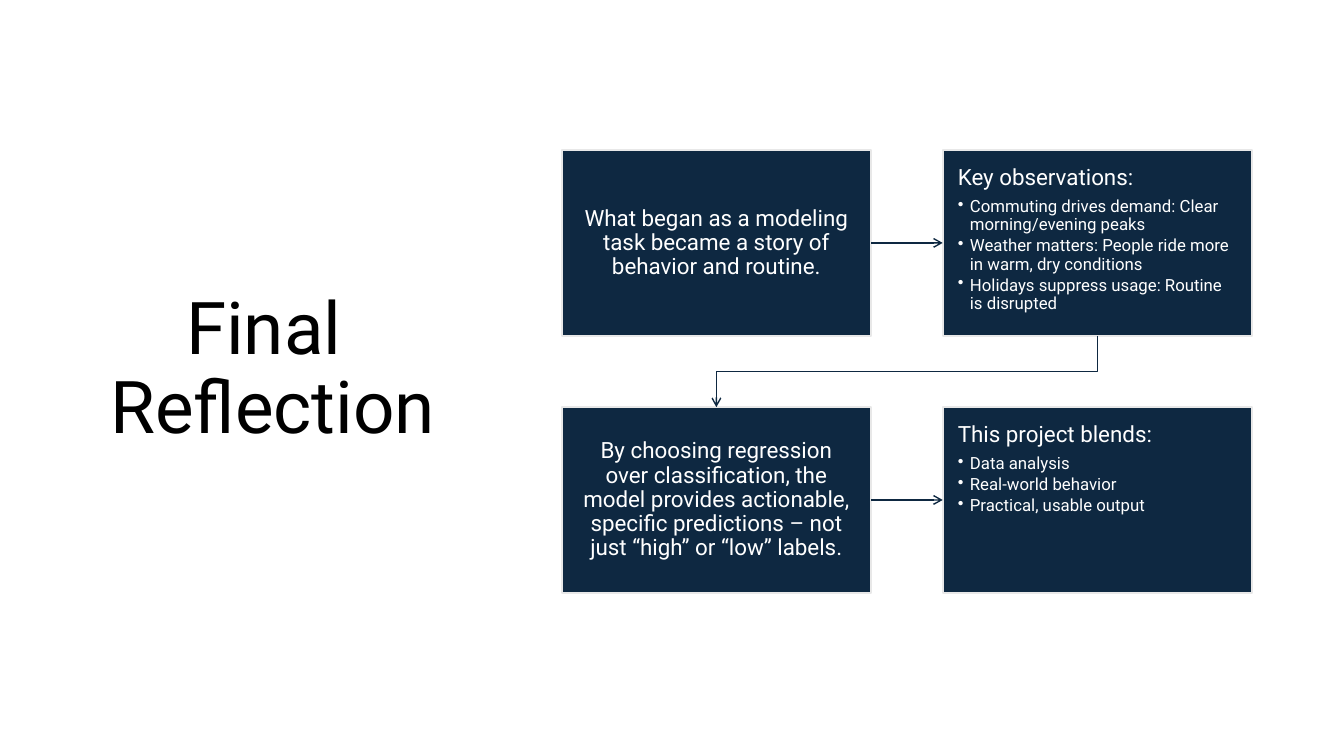
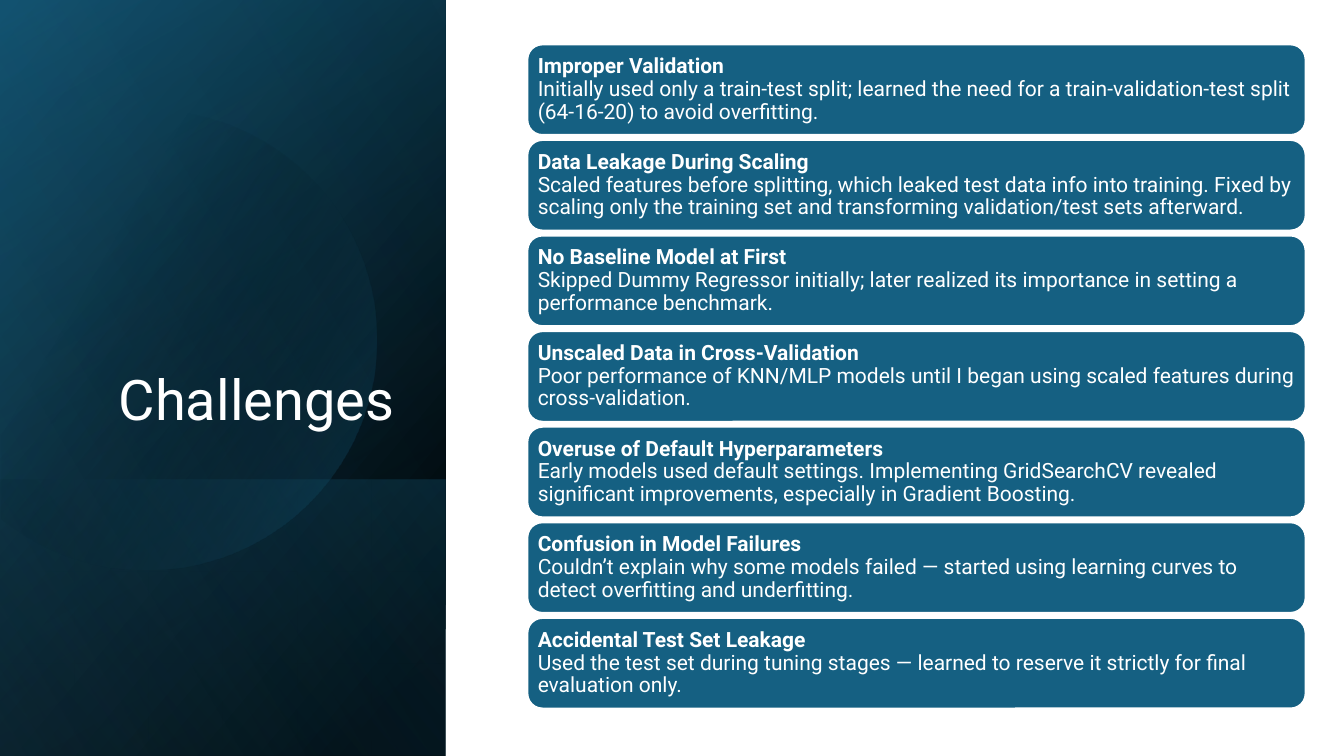
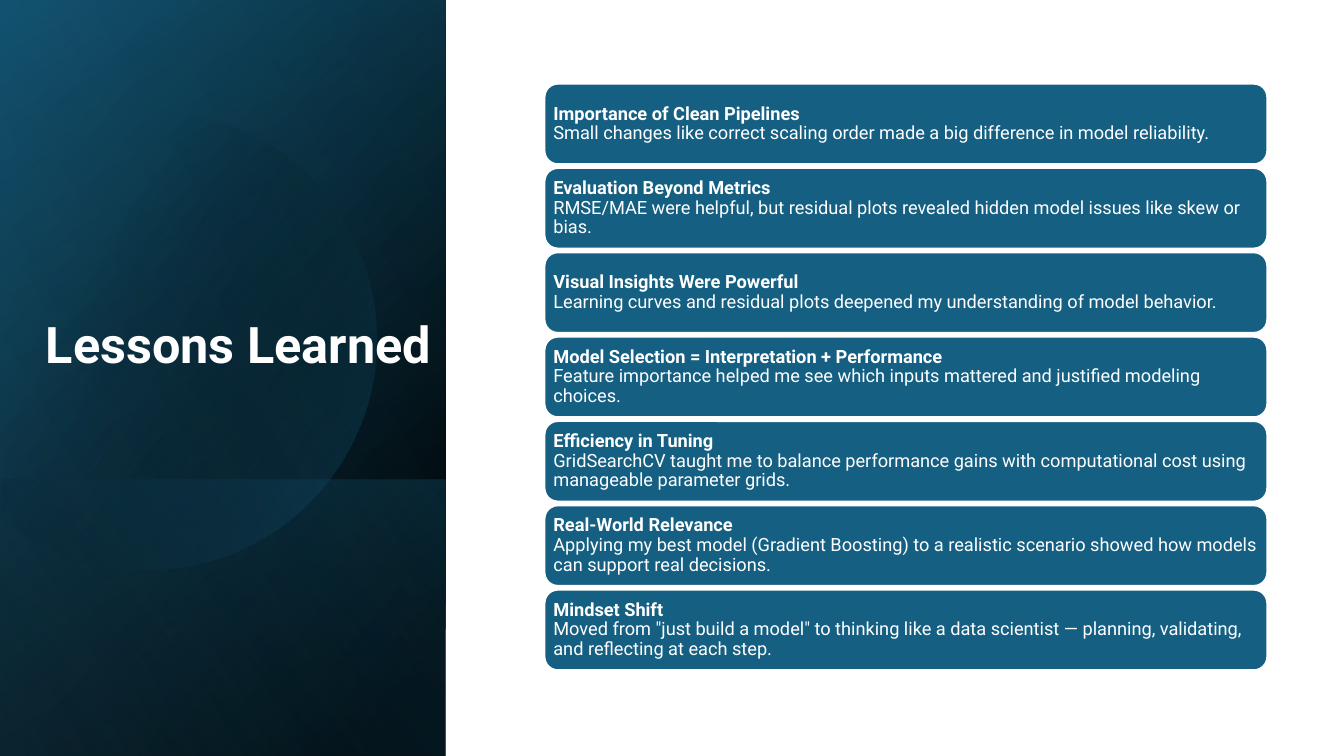
from dataclasses import dataclass
from math import cos, radians, sin

from lxml.etree import SubElement
from pptx import Presentation
from pptx.dml.color import RGBColor
from pptx.enum.shapes import MSO_CONNECTOR as Connector, MSO_SHAPE as Shape
from pptx.enum.text import MSO_ANCHOR as Anchor, MSO_AUTO_SIZE as AutoSize, PP_ALIGN as Align
from pptx.oxml.ns import qn
from pptx.util import Emu, Pt


@dataclass(frozen=True)
class Theme:
    font: str = "Roboto"
    white: str = "FFFFFF"
    black: str = "000000"
    navy: str = "0E2841"
    teal: str = "156082"
    deep_teal: str = "104862"
    sky: str = "46B1E1"
    pale_gray: str = "E8E8E8"
    step_size: float = 16
    bullet_size: float = 12
    border: float = 1.5
    arrow: float = 1
    line_spacing: float = 0.9


THEME = Theme()
EMU_PER_PX = 9144
SLIDE_WIDTH, SLIDE_HEIGHT = 1333, 750
PANEL_WIDTH = 442

REFLECTION = {
    "title": "Final \vReflection",
    "title_box": (0, 65, 541, 605),
    "steps": [
        ("What began as a modeling task became a story of behavior and routine.", []),
        ("Key observations:", [
            "Commuting drives demand: Clear morning/evening peaks",
            "Weather matters: People ride more in warm, dry conditions",
            "Holidays suppress usage: Routine is disrupted",
        ]),
        ("By choosing regression over classification, the model provides actionable, "
         "specific predictions – not just “high” or “low” labels.", []),
        ("This project blends:", ["Data analysis", "Real-world behavior", "Practical, usable output"]),
    ],
}
STEP_GRID = {"left": 557, "top": 149, "width": 307, "height": 184, "pitch_x": 378, "pitch_y": 255}

CARD_SLIDES = [
    {
        "title": "Challenges", "title_box": (51, 64, 350, 370), "title_size": 40, "title_bold": False,
        "left": 523, "width": 772, "height": 90, "first_top": 44, "last_top": 613,
        "inset": 6, "text_size": 15,
        "cards": [
            ("Improper Validation",
             "Initially used only a train-test split; learned the need for a "
             "train-validation-test split (64-16-20) to avoid overfitting."),
            ("Data Leakage During Scaling",
             "Scaled features before splitting, which leaked test data info into training. Fixed by "
             "scaling only the training set and transforming validation/test sets afterward."),
            ("No Baseline Model at First",
             "Skipped Dummy Regressor initially; later realized its importance in setting a "
             "performance benchmark."),
            ("Unscaled Data in Cross-Validation",
             "Poor performance of KNN/MLP models until I began using scaled features during "
             "cross-validation."),
            ("Overuse of Default Hyperparameters",
             "Early models used default settings. Implementing GridSearchCV revealed significant "
             "improvements, especially in Gradient Boosting."),
            ("Confusion in Model Failures",
             "Couldn’t explain why some models failed — started using learning curves to detect "
             "overfitting and underfitting."),
            ("Accidental Test Set Leakage",
             "Used the test set during tuning stages — learned to reserve it strictly for final "
             "evaluation only."),
        ],
    },
    {
        "title": "Lessons Learned", "title_box": (-4, 64, 442, 312), "title_size": 36, "title_bold": True,
        "left": 540, "width": 717, "height": 80, "first_top": 83, "last_top": 585,
        "inset": 5, "text_size": 13,
        "cards": [
            ("Importance of Clean Pipelines",
             "Small changes like correct scaling order made a big difference in model reliability."),
            ("Evaluation Beyond Metrics",
             "RMSE/MAE were helpful, but residual plots revealed hidden model issues like skew or bias."),
            ("Visual Insights Were Powerful",
             "Learning curves and residual plots deepened my understanding of model behavior."),
            ("Model Selection = Interpretation + Performance",
             "Feature importance helped me see which inputs mattered and justified modeling choices."),
            ("Efficiency in Tuning",
             "GridSearchCV taught me to balance performance gains with computational cost using "
             "manageable parameter grids."),
            ("Real-World Relevance",
             "Applying my best model (Gradient Boosting) to a realistic scenario showed how models "
             "can support real decisions."),
            ("Mindset Shift",
             "Moved from \"just build a model\" to thinking like a data scientist — planning, "
             "validating, and reflecting at each step."),
        ],
    },
]

FULL_PANEL = (0, 0, PANEL_WIDTH, SLIDE_HEIGHT)
LOWER_PANEL = (0, 476, PANEL_WIDTH, 274)
CIRCLE = {"center": (145, 337), "radius": 228, "half_sweep": 129}
PANEL_LAYERS = [
    (FULL_PANEL, 220, [(8, THEME.black, 100), (100, THEME.deep_teal, 100)]),
    (FULL_PANEL, 240, [(0, THEME.black, 0), (99, THEME.teal, 46)]),
    (LOWER_PANEL, 140, [(2, THEME.teal, 29), (100, THEME.black, 30)]),
    (None, 30, [(29, THEME.black, 0), (100, THEME.teal, 43)]),
    (FULL_PANEL, 150, [(0, THEME.black, 0), (99, THEME.sky, 11)]),
]


def px(value):
    return Emu(round(value * EMU_PER_PX))


def color(value):
    return RGBColor.from_string(value)


def add_box(slide, preset, box, fill=None, border=None):
    shape = slide.shapes.add_shape(preset, *map(px, box))
    shape.shadow.inherit = False
    if fill:
        shape.fill.solid()
        shape.fill.fore_color.rgb = color(fill)
    if border:
        shape.line.color.rgb = color(border)
        shape.line.width = Pt(THEME.border)
    else:
        shape.line.fill.background()
    return shape


def format_paragraph(paragraph, size, text_color, align=Align.LEFT, bold=False, space_after=0):
    paragraph.alignment = align
    paragraph.line_spacing = THEME.line_spacing
    paragraph.space_before = Pt(0)
    paragraph.space_after = Pt(space_after)
    for run in paragraph.runs:
        run.font.name = THEME.font
        run.font.size = Pt(size)
        run.font.bold = bold
        run.font.color.rgb = color(text_color)


def prepare_frame(shape, anchor, inset_x, inset_y):
    frame = shape.text_frame
    frame.word_wrap = True
    frame.auto_size = AutoSize.NONE
    frame.vertical_anchor = anchor
    frame.margin_left = frame.margin_right = px(inset_x)
    frame.margin_top = frame.margin_bottom = px(inset_y)
    return frame


def set_title(slide, text, box, size, text_color, align, anchor, bold=False):
    title = slide.shapes.title
    title.left, title.top, title.width, title.height = map(px, box)
    frame = prepare_frame(title, anchor, 10, 5)
    frame.paragraphs[0].text = text
    format_paragraph(frame.paragraphs[0], size, text_color, align, bold)
    slide.shapes._spTree.append(title._element)


def set_gradient(shape, angle, stops):
    shape.fill.gradient()
    shape.fill.gradient_angle = 360 - angle
    for stop, (position, stop_color, _) in zip(shape.fill.gradient_stops, stops):
        stop.position = position / 100
        stop.color.rgb = color(stop_color)
    for element, (_, _, opacity) in zip(shape._element.spPr.iter(qn("a:srgbClr")), stops):
        SubElement(element, qn("a:alpha"), val=str(opacity * 1000))


def add_circle(slide):
    center_x, center_y = CIRCLE["center"]
    radius, sweep = CIRCLE["radius"], CIRCLE["half_sweep"]
    points = [
        (round(center_x + radius * cos(radians(angle)), 2), round(center_y + radius * sin(radians(angle)), 2))
        for angle in range(-sweep, sweep + 1, 2)
    ]
    builder = slide.shapes.build_freeform(*[coordinate * EMU_PER_PX for coordinate in points[0]])
    builder.add_line_segments([(x * EMU_PER_PX, y * EMU_PER_PX) for x, y in points[1:]], close=True)
    shape = builder.convert_to_shape()
    shape.shadow.inherit = False
    shape.line.fill.background()
    return shape


def add_panel(slide):
    for box, angle, stops in PANEL_LAYERS:
        shape = add_box(slide, Shape.RECTANGLE, box) if box else add_circle(slide)
        set_gradient(shape, angle, stops)


def add_step(slide, index, heading, bullets):
    grid = STEP_GRID
    row, column = divmod(index, 2)
    box = (grid["left"] + column * grid["pitch_x"], grid["top"] + row * grid["pitch_y"],
           grid["width"], grid["height"])
    step = add_box(slide, Shape.RECTANGLE, box, THEME.navy, THEME.pale_gray)
    frame = prepare_frame(step, Anchor.TOP if bullets else Anchor.MIDDLE, 15, 16)
    frame.text = "\n".join([heading, *bullets])
    first, *rest = frame.paragraphs
    format_paragraph(first, THEME.step_size, THEME.white, Align.LEFT if bullets else Align.CENTER,
                     space_after=5.6 if bullets else 0)
    for paragraph in rest:
        properties = paragraph._p.get_or_add_pPr()
        properties.set("marL", str(px(12)))
        properties.set("indent", str(px(-12)))
        SubElement(properties, qn("a:buChar"), char="•")
        format_paragraph(paragraph, THEME.bullet_size, THEME.white, space_after=2)
    return step


def add_arrow(slide, kind, source, source_side, target, target_side):
    connector = slide.shapes.add_connector(kind, 0, 0, 0, 0)
    connector.begin_connect(source, source_side)
    connector.end_connect(target, target_side)
    connector.line.color.rgb = color(THEME.navy)
    connector.line.width = Pt(THEME.arrow)
    SubElement(connector.line._get_or_add_ln(), qn("a:tailEnd"), type="arrow")
    SubElement(connector._element.spPr, qn("a:effectLst"))
    return connector


def turn_downward(connector):
    left, top, width, height = connector.left, connector.top, connector.width, connector.height
    transform = connector._element.spPr.find(qn("a:xfrm"))
    transform.attrib.pop("flipH", None)
    transform.set("rot", "5400000")
    connector.left, connector.top = left + (width - height) // 2, top + (height - width) // 2
    connector.width, connector.height = height, width


def build_reflection(slide):
    set_title(slide, REFLECTION["title"], REFLECTION["title_box"], 52, THEME.black,
              Align.CENTER, Anchor.MIDDLE)
    steps = [add_step(slide, index, *step) for index, step in enumerate(REFLECTION["steps"])]
    for source, target in (steps[:2], steps[2:]):
        add_arrow(slide, Connector.STRAIGHT, source, 3, target, 1)
    turn_downward(add_arrow(slide, Connector.ELBOW, steps[1], 2, steps[2], 0))


def build_cards(slide, content):
    add_panel(slide)
    set_title(slide, content["title"], content["title_box"], content["title_size"], THEME.white,
              Align.RIGHT, Anchor.BOTTOM, content["title_bold"])
    pitch = (content["last_top"] - content["first_top"]) / (len(content["cards"]) - 1)
    for index, texts in enumerate(content["cards"]):
        box = (content["left"], content["first_top"] + index * pitch, content["width"], content["height"])
        card = add_box(slide, Shape.ROUNDED_RECTANGLE, box, THEME.teal, THEME.white)
        frame = prepare_frame(card, Anchor.MIDDLE, content["inset"], content["inset"])
        frame.text = "\n".join(texts)
        heading, detail = frame.paragraphs
        format_paragraph(heading, content["text_size"], THEME.white, bold=True)
        format_paragraph(detail, content["text_size"], THEME.white)


def main():
    presentation = Presentation()
    presentation.slide_width, presentation.slide_height = px(SLIDE_WIDTH), px(SLIDE_HEIGHT)
    title_only = presentation.slide_layouts[5]
    build_reflection(presentation.slides.add_slide(title_only))
    for content in CARD_SLIDES:
        build_cards(presentation.slides.add_slide(title_only), content)
    presentation.save("out.pptx")


if __name__ == "__main__":
    main()
